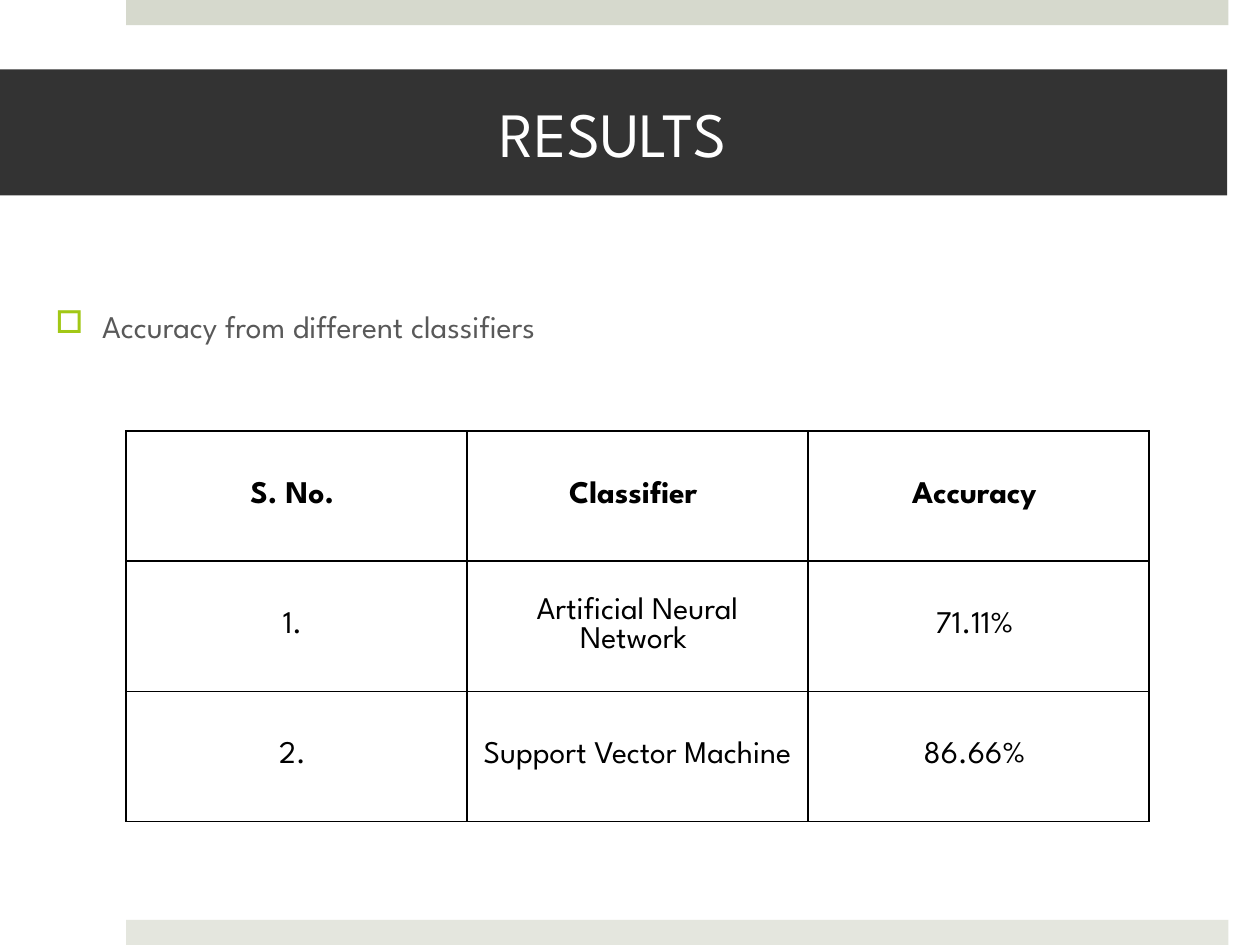
from dataclasses import dataclass

import pptx
import pptx.dml.color
import pptx.enum.shapes
import pptx.enum.text
import pptx.oxml
import pptx.oxml.ns
import pptx.util
from lxml import etree

WIDTH, HEIGHT = pptx.util.Inches(10), pptx.util.Inches(7.5)
FONT = "League Spartan"
COLORS = {
    "top": "D6D9CD", "bottom": "E4E6DE", "band": "333333", "title": "FFFFFF",
    "body": "595959", "bullet": "A2C816", "table": "000000",
}
ALIGN = pptx.enum.text.PP_ALIGN
MIDDLE = pptx.enum.text.MSO_ANCHOR.MIDDLE
MARGIN = pptx.util.Inches(0.05)
CELL_MARGIN = pptx.util.Inches(0.11)
ROWS = [
    ("S. No. ", "Classifier ", "Accuracy "),
    ("1. ", "Artificial Neural Network ", "71.11% "),
    ("2. ", "Support Vector Machine ", "86.66% "),
]


@dataclass
class Box:
    """Position and size as shares of the slide."""
    left: float
    top: float
    width: float
    height: float

    def emu(self) -> tuple[int, int, int, int]:
        return (int(self.left * WIDTH), int(self.top * HEIGHT),
                int(self.width * WIDTH), int(self.height * HEIGHT))


@dataclass
class Bar:
    box: Box
    color: str


BAR_HEIGHT = 0.2 / 7.5
BARS = [
    Bar(Box(1 / 10, 0, 8.75 / 10, BAR_HEIGHT), "top"),
    Bar(Box(1 / 10, 1 - BAR_HEIGHT, 8.75 / 10, BAR_HEIGHT), "bottom"),
]
TITLE = Box(-0.01 / 10, 0.55 / 7.5, 9.75 / 10, 1 / 7.5)
BODY = Box(0.39 / 10, 2.39 / 7.5, 8.96 / 10, 4.81 / 7.5)
TABLE = Box(1 / 10, 3.42 / 7.5, 8.12 / 10, 3.1 / 7.5)


def rgb(name: str) -> pptx.dml.color.RGBColor:
    return pptx.dml.color.RGBColor.from_string(COLORS[name])


def fill_shape(shape, color: str) -> None:
    shape.fill.solid()
    shape.fill.fore_color.rgb = rgb(color)
    shape.line.fill.background()


def write(tf, text: str, size: float, color: str, align, bold: bool = False) -> None:
    tf.text = text
    p = tf.paragraphs[0]
    p.alignment = align
    font = p.runs[0].font
    font.name, font.size, font.bold = FONT, pptx.util.Pt(size), bold
    font.color.rgb = rgb(color)


def set_frame(tf, anchor) -> None:
    tf.word_wrap = True
    tf.auto_size = pptx.enum.text.MSO_AUTO_SIZE.NONE
    tf.vertical_anchor = anchor
    tf.margin_left = tf.margin_right = tf.margin_top = tf.margin_bottom = MARGIN


def add_bar(s, bar: Bar) -> None:
    sp = s.shapes.add_shape(pptx.enum.shapes.MSO_SHAPE.RECTANGLE, *bar.box.emu())
    sp.shadow.inherit = False
    fill_shape(sp, bar.color)


def add_title(s) -> None:
    sp = s.shapes.title
    sp.left, sp.top, sp.width, sp.height = TITLE.emu()
    fill_shape(sp, "band")
    set_frame(sp.text_frame, MIDDLE)
    write(sp.text_frame, "RESULTS", 36, "title", ALIGN.CENTER)


def add_bullet(p) -> None:
    """Hang a hollow square, which is the letter o in Wingdings."""
    pPr = p._p.get_or_add_pPr()
    indent = pptx.util.Inches(0.37)
    pPr.set("marL", str(indent))
    pPr.set("indent", str(-indent))
    color = etree.SubElement(pPr, pptx.oxml.ns.qn("a:buClr"))
    etree.SubElement(color, pptx.oxml.ns.qn("a:srgbClr"), val=COLORS["bullet"])
    etree.SubElement(pPr, pptx.oxml.ns.qn("a:buFont"),
                     typeface="Wingdings", pitchFamily="2", charset="2")
    etree.SubElement(pPr, pptx.oxml.ns.qn("a:buChar"), char="o")


def add_body(s) -> None:
    tf = s.shapes.add_textbox(*BODY.emu()).text_frame
    set_frame(tf, pptx.enum.text.MSO_ANCHOR.TOP)
    write(tf, "Accuracy from different classifiers", 18, "body", ALIGN.JUSTIFY)
    add_bullet(tf.paragraphs[0])


def add_borders(cell) -> None:
    tcPr = cell._tc.get_or_add_tcPr()
    for i, side in enumerate(("lnL", "lnR", "lnT", "lnB")):
        ln = pptx.oxml.parse_xml(
            f'<a:{side} {pptx.oxml.ns.nsdecls("a")} w="{pptx.util.Pt(1)}"><a:solidFill>'
            f'<a:srgbClr val="{COLORS["table"]}"/></a:solidFill></a:{side}>')
        tcPr.insert(i, ln)


def add_table(s) -> None:
    # add_table shares the width and height equally among columns and rows
    table = s.shapes.add_table(len(ROWS), len(ROWS[0]), *TABLE.emu()).table
    for i, (row, texts) in enumerate(zip(table.rows, ROWS)):
        for cell, text in zip(row.cells, texts):
            cell.fill.background()
            cell.vertical_anchor = MIDDLE
            cell.margin_left = cell.margin_right = CELL_MARGIN
            write(cell.text_frame, text, 18, "table", ALIGN.CENTER, bold=i == 0)
            add_borders(cell)


def main() -> None:
    prs = pptx.Presentation()
    prs.slide_width, prs.slide_height = WIDTH, HEIGHT
    s = prs.slides.add_slide(prs.slide_layouts[5])
    for bar in BARS:
        add_bar(s, bar)
    add_title(s)
    add_body(s)
    add_table(s)
    prs.save("out.pptx")


if __name__ == "__main__":
    main()
